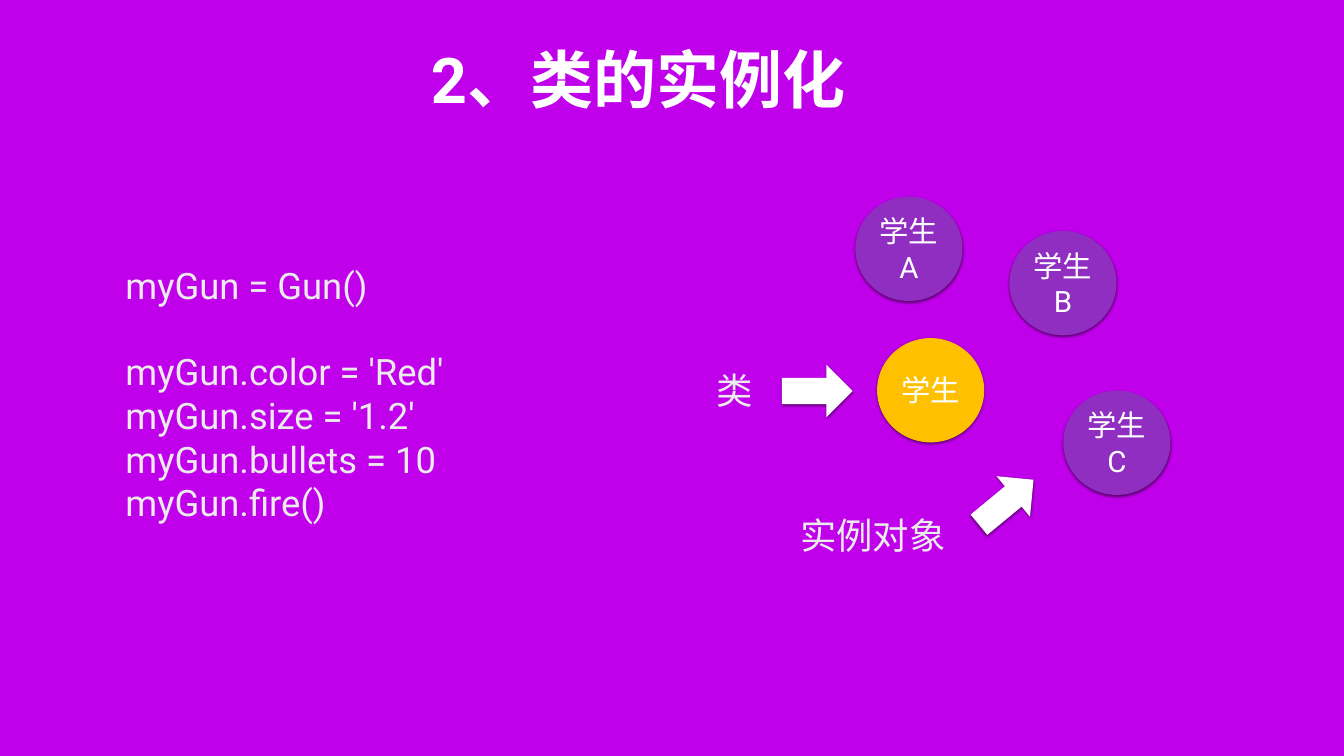
from pptx import Presentation
from pptx.dml.color import RGBColor
from pptx.enum.shapes import MSO_SHAPE as Shape
from pptx.enum.text import MSO_ANCHOR as Anchor, MSO_AUTO_SIZE as AutoSize, PP_ALIGN as Align
from pptx.oxml import parse_xml
from pptx.oxml.ns import nsdecls, qn
from pptx.util import Pt

PURPLE = RGBColor(0xC0, 0x00, 0xEB)
VIOLET = RGBColor(0x8F, 0x2E, 0xC1)
AMBER = RGBColor(0xFF, 0xC0, 0x00)
WHITE = RGBColor(0xFF, 0xFF, 0xFF)
PALE = RGBColor(0xEB, 0xEB, 0xEB)

TITLE_FONT = dict(name="Roboto", size=Pt(90), bold=True, color=WHITE)
BODY_FONT = dict(name="Roboto", size=Pt(52), color=PALE)
CIRCLE_FONT = dict(name="Roboto", size=Pt(42), color=WHITE)
INSET = Pt(4)
TIGHT_FRAME = dict(margin_left=INSET, margin_top=INSET, margin_right=INSET,
                   margin_bottom=INSET, vertical_anchor=Anchor.MIDDLE, word_wrap=True)
LABEL_FRAME = {**TIGHT_FRAME, "word_wrap": False, "auto_size": AutoSize.SHAPE_TO_FIT_TEXT}

CODE_LINE = 61  # height of one line of code
CODE = [  # text, lines of gap above
    ("myGun = Gun()", 0),
    ("myGun.color = 'Red'", 1),
    ("myGun.size = '1.2'", 0),
    ("myGun.bullets = 10", 0),
    ("myGun.fire()", 0),
]

CIRCLE_SIZE = (153, 149)
CIRCLES = [  # lines, fill, left, top within the diagram
    (["学生"], AMBER, 233, 202),
    (["学生A"], VIOLET, 202, 0),
    (["学生", "B"], VIOLET, 422, 49),
    (["学生", "C"], VIOLET, 499, 277),
]
ARROW_SIZE = (101, 75)
ARROWS = [(97, 240, 0), (367, 399, 320.5)]  # left, top, rotation
LABELS = [("类", 0, 240, 60), ("实例对象", 118, 448, 218)]  # text, left, top, width
LABEL_HEIGHT = 71


def apply(target, values):
    for key, value in values.items():
        setattr(target, key, value)


def style_font(paragraph, values):
    for key, value in values.items():
        if key == "color":
            paragraph.font.color.rgb = value
        else:
            setattr(paragraph.font, key, value)


def write_lines(frame, lines, font, align):
    for index, line in enumerate(lines):
        paragraph = frame.paragraphs[0] if index == 0 else frame.add_paragraph()
        paragraph.text = line
        paragraph.alignment = align
        style_font(paragraph, font)


def place(part, left, top, width, height):
    apply(part, dict(left=Pt(left), top=Pt(top), width=Pt(width), height=Pt(height)))


def add_raised(slide, kind, fill, left, top, size):
    """Borderless preset shape with a soft shadow below it."""
    raised = slide.shapes.add_shape(kind, Pt(left), Pt(top), *map(Pt, size))
    raised.fill.solid()
    raised.fill.fore_color.rgb = fill
    raised.line.fill.background()
    raised.shadow.inherit = False
    raised._element.spPr.find(qn("a:effectLst")).append(parse_xml(
        f'<a:outerShdw {nsdecls("a")} blurRad="{Pt(4)}" dist="{Pt(2)}" dir="5400000" '
        'rotWithShape="0"><a:srgbClr val="000000"><a:alpha val="50000"/></a:srgbClr>'
        '</a:outerShdw>'))
    return raised


def build_title(slide, box):
    title = slide.shapes.title
    place(title, *box)
    apply(title.text_frame, {**TIGHT_FRAME, "auto_size": AutoSize.NONE})
    write_lines(title.text_frame, ["2、类的实例化"], TITLE_FONT, Align.CENTER)


def build_code(slide, box):
    code = slide.placeholders[1]
    place(code, *box)
    frame = code.text_frame
    # The code starts two lines down in its box
    apply(frame, dict(auto_size=AutoSize.NONE, vertical_anchor=Anchor.TOP,
                      margin_top=Pt(4 + 2 * CODE_LINE)))
    write_lines(frame, [line for line, _ in CODE], {}, Align.LEFT)
    for paragraph, (_, gap) in zip(frame.paragraphs, CODE):
        properties = paragraph._p.get_or_add_pPr()
        properties.set("marL", "0")
        properties.set("indent", "0")
        properties.append(parse_xml(f'<a:buNone {nsdecls("a")}/>'))
        paragraph.space_before = Pt(gap * CODE_LINE)
        style_font(paragraph, BODY_FONT)


def build_diagram(slide, left, top):
    # Class and its instances
    for lines, fill, dx, dy in CIRCLES:
        circle = add_raised(slide, Shape.OVAL, fill, left + dx, top + dy, CIRCLE_SIZE)
        apply(circle.text_frame, TIGHT_FRAME)
        write_lines(circle.text_frame, lines, CIRCLE_FONT, Align.CENTER)

    # Arrows from label to circle
    for dx, dy, rotation in ARROWS:
        arrow = add_raised(slide, Shape.RIGHT_ARROW, WHITE, left + dx, top + dy, ARROW_SIZE)
        arrow.rotation = rotation

    # Labels
    for text, dx, dy, width in LABELS:
        label = slide.shapes.add_textbox(Pt(left + dx), Pt(top + dy), Pt(width), Pt(LABEL_HEIGHT))
        apply(label.text_frame, LABEL_FRAME)
        write_lines(label.text_frame, [text], BODY_FONT, Align.CENTER)


def main():
    deck = Presentation()
    apply(deck, dict(slide_width=Pt(1920), slide_height=Pt(1080)))
    slide = deck.slides.add_slide(deck.slide_layouts[1])
    slide.background.fill.solid()
    slide.background.fill.fore_color.rgb = PURPLE
    build_title(slide, (64, -28, 1695, 281))
    build_code(slide, (172, 250, 595, 565))
    build_diagram(slide, 1020, 281)
    deck.save("out.pptx")


if __name__ == "__main__":
    main()
